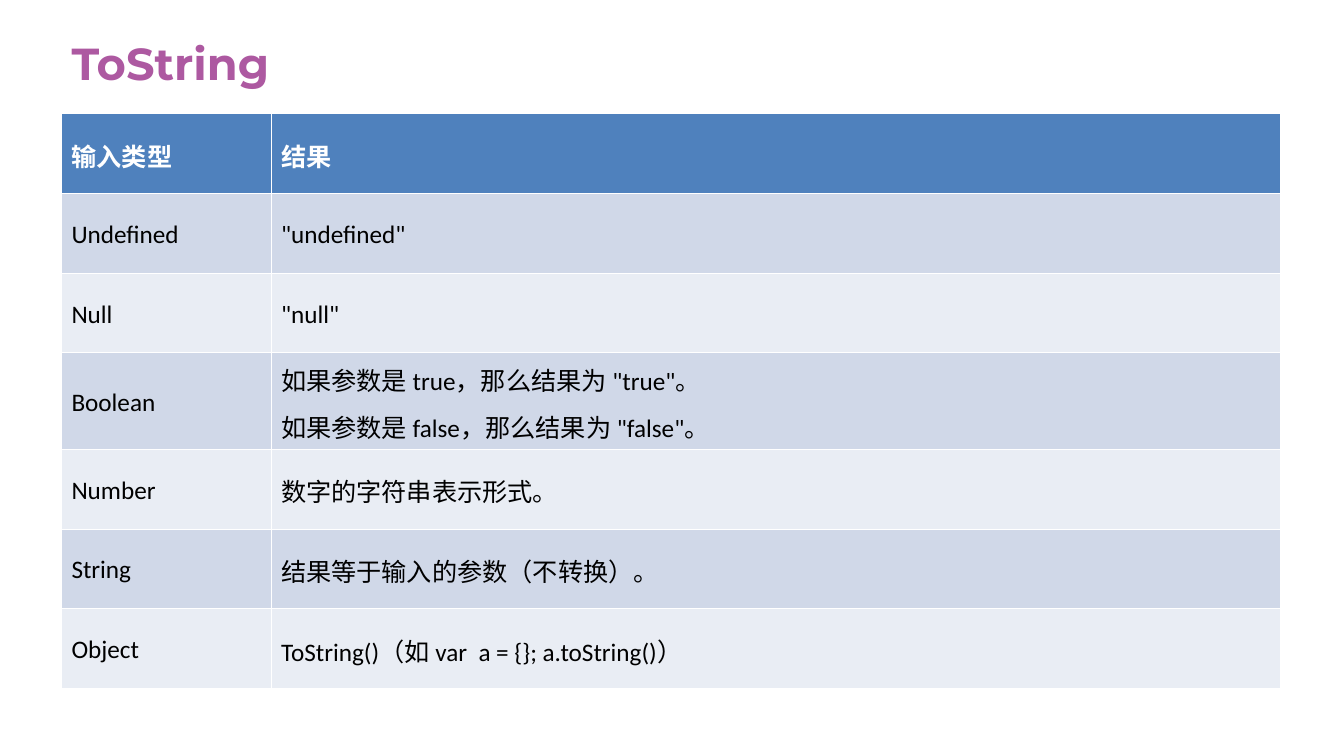
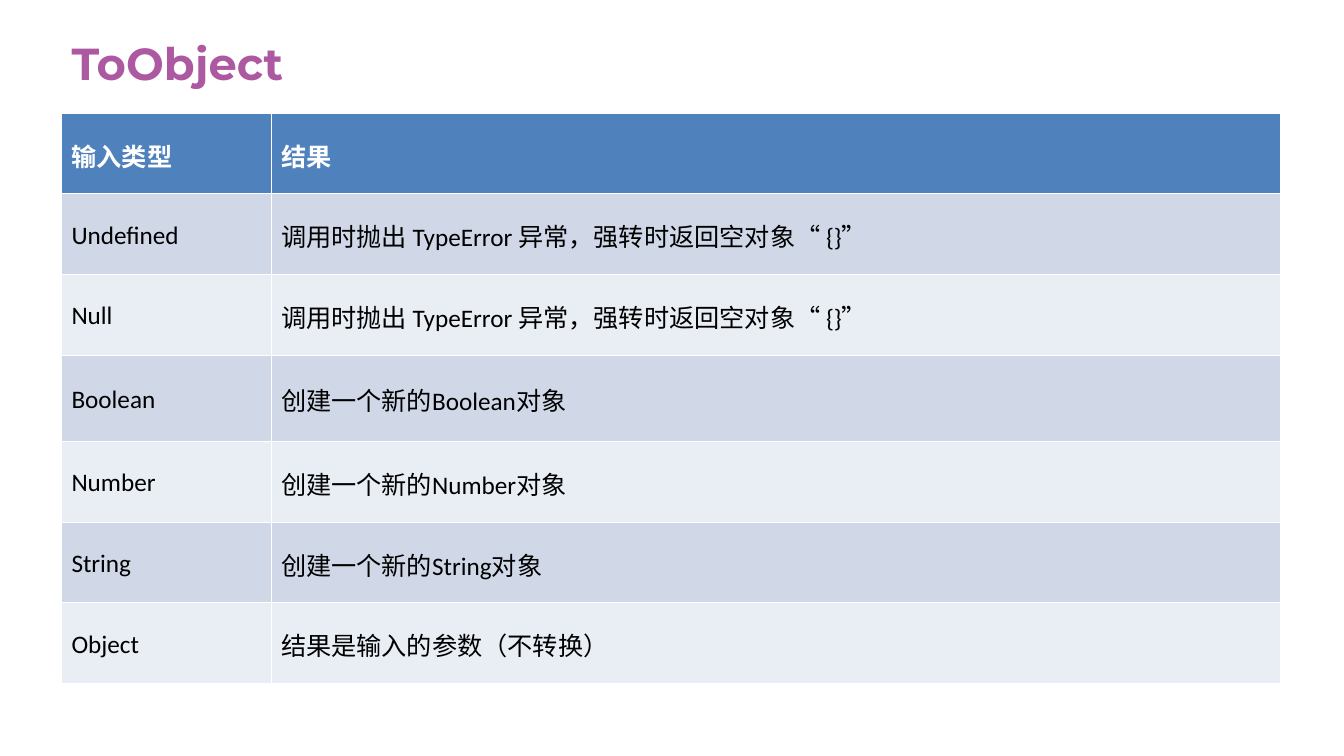
import pptx
import pptx.dml.color
import pptx.enum.text
import pptx.oxml
import pptx.oxml.ns
import pptx.util

Inches = pptx.util.Inches
Pt = pptx.util.Pt
Align = pptx.enum.text.PP_ALIGN
Anchor = pptx.enum.text.MSO_ANCHOR

PURPLE, BLUE, WHITE, BLACK = "AD59A1", "4F81BD", "FFFFFF", "000000"
BANDS = "D0D8E8", "E9EDF4"
BODY, HEAD, QUOTE = "Calibri", "Montserrat", "Arial"
LEFT, WIDTH = 0.61, 12.09
COLS = 2.08, 10.02
THIN, THICK = 0.45, 1.47

TYPES = "Undefined", "Null", "Boolean", "Number", "String", "Object"
# A cell is a list of paragraphs, and a paragraph a list of (text, font) runs.
ERROR = [[("调用时抛出 TypeError 异常，强转时返回空对象", BODY),
          ("“ ", QUOTE), ("{}", BODY), ("”", QUOTE)]]


def color(code):
    return pptx.dml.color.RGBColor.from_string(code)


def plain(*lines):
    """Make a cell whose paragraphs each hold one body run."""
    return [[(line, BODY)] for line in lines]


def add_run(para, text, font, size, code, bold):
    run = para.add_run()
    run.text = text
    run.font.name = font
    run.font.size = Pt(size)
    run.font.bold = bold
    run.font.color.rgb = color(code)


def set_edge(cell, side, width):
    """Draw one white cell border; call before the cell is filled."""
    edge = pptx.oxml.parse_xml(
        f'<a:ln{side} {pptx.oxml.ns.nsdecls("a")} w="{Pt(width)}">'
        f'<a:solidFill><a:srgbClr val="{WHITE}"/></a:solidFill></a:ln{side}>')
    cell._tc.get_or_add_tcPr().append(edge)


def fill_cell(cell, paras, row):
    top = THICK if row == 1 else THIN
    base = THICK if row == 0 else THIN
    for side, width in zip("LRTB", (THIN, THIN, top, base)):
        set_edge(cell, side, width)
    cell.fill.solid()
    cell.fill.fore_color.rgb = color(BANDS[(row - 1) % 2] if row else BLUE)
    cell.vertical_anchor = Anchor.MIDDLE
    frame = cell.text_frame
    for i, runs in enumerate(paras):
        para = frame.add_paragraph() if i else frame.paragraphs[0]
        para.alignment = Align.JUSTIFY
        para.line_spacing = 1.1
        para.space_before = Pt(4.5 if i else 0)
        for text, font in runs:
            add_run(para, text, font, 18, BLACK if row else WHITE, row == 0)


def add_grid(slide, cells, step, tall):
    """Add the type and result table; the Boolean row is taller."""
    rows = [(plain("输入类型"), plain("结果"))]
    rows += [(plain(kind), cell) for kind, cell in zip(TYPES, cells)]
    highs = [0.8] + [tall if kind == "Boolean" else step for kind in TYPES]
    table = slide.shapes.add_table(
        len(rows), len(COLS), Inches(LEFT), Inches(1.12),
        Inches(WIDTH), Inches(sum(highs))).table
    for col, width in zip(table.columns, COLS):
        col.width = Inches(width)
    for r, (row, high) in enumerate(zip(rows, highs)):
        table.rows[r].height = Inches(high)
        for c, paras in enumerate(row):
            fill_cell(table.cell(r, c), paras, r)


def style_title(layout):
    """Place the title for every slide of the layout."""
    title = layout.placeholders[0]
    title.left, title.top = Inches(LEFT), Inches(0.18)
    title.width, title.height = Inches(WIDTH), Inches(0.77)
    title.text_frame.vertical_anchor = Anchor.BOTTOM
    title.text_frame.auto_size = pptx.enum.text.MSO_AUTO_SIZE.NONE


def add_slide(deck, layout, name, cells, step, tall):
    slide = deck.slides.add_slide(layout)
    para = slide.shapes.title.text_frame.paragraphs[0]
    para.alignment = Align.LEFT
    para.line_spacing = 0.9
    add_run(para, name, HEAD, 32, PURPLE, True)
    add_grid(slide, cells, step, tall)


def main():
    deck = pptx.Presentation()
    deck.slide_width, deck.slide_height = Inches(13.34), Inches(7.5)
    layout = deck.slide_layouts[5]
    style_title(layout)
    add_slide(deck, layout, "ToString", [
        plain('"undefined"'),
        plain('"null"'),
        plain('如果参数是 true，那么结果为 "true"。',
              '如果参数是 false，那么结果为 "false"。'),
        plain("数字的字符串表示形式。"),
        plain("结果等于输入的参数（不转换）。"),
        plain("ToString()（如 var  a = {}; a.toString()）"),
    ], 0.79, 0.94)
    made = [plain(f"创建一个新的{kind}对象") for kind in TYPES[2:5]]
    add_slide(deck, layout, "ToObject", [
        ERROR, ERROR, *made, plain("结果是输入的参数（不转换）"),
    ], 0.8, 0.86)
    deck.save("out.pptx")


if __name__ == "__main__":
    main()
